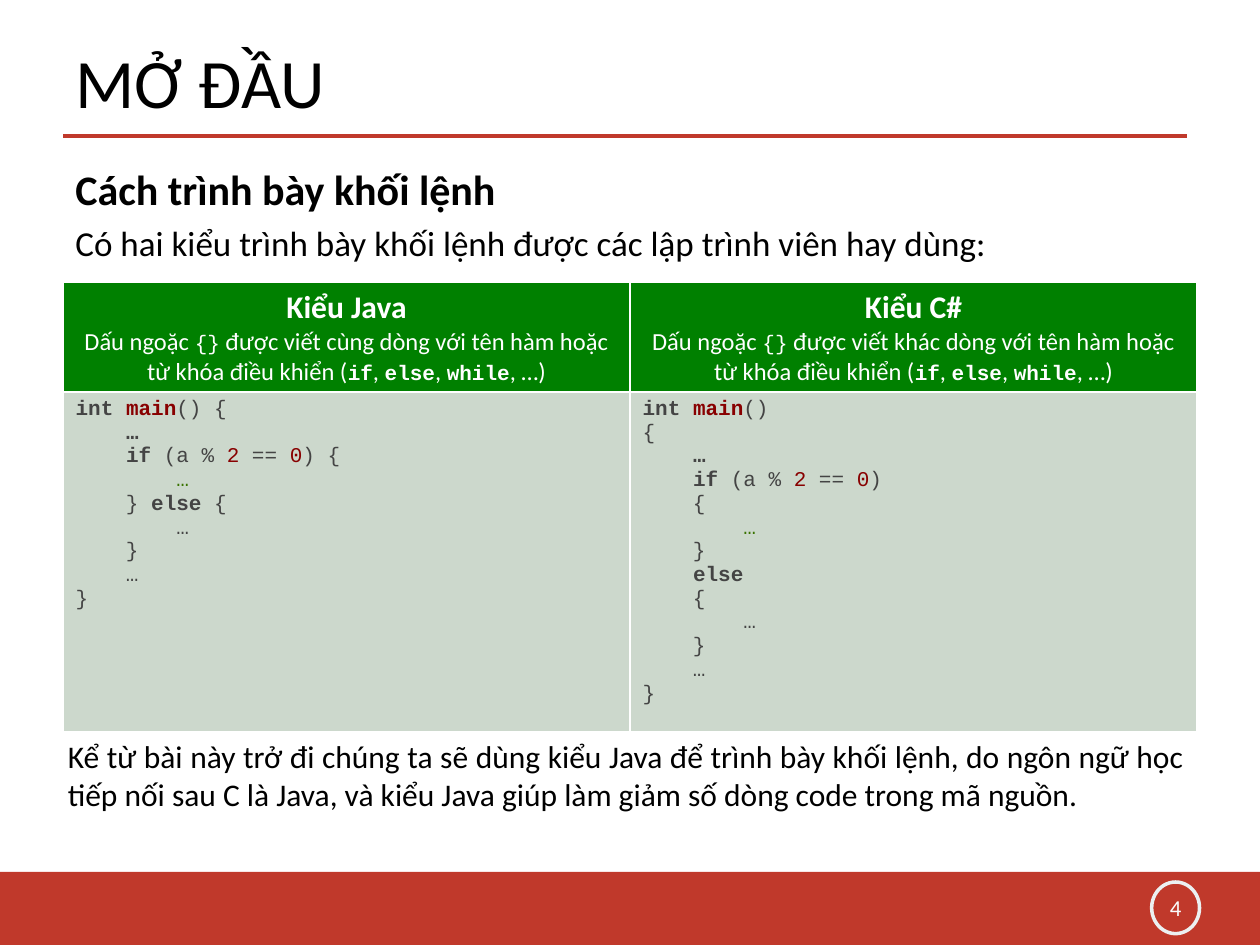
"""Builds a slide comparing two ways to lay out code blocks."""
from pptx import Presentation
from pptx import util as u
from pptx.dml.color import RGBColor
from pptx.enum import shapes, text
from pptx.oxml.ns import qn

COLORS = {"red": "C0392B", "ring": "ECF0F1", "number": "FAFCFC", "black": "000000",
          "white": "FFFFFF", "green": "008000", "sage": "CCD8CC",
          "code": "444444", "value": "880000", "comment": "397300"}
SANS, MONO = "Calibri", "Courier New"
STYLES = {
    "title": (SANS, 39.6, False, "black"),
    "heading": (SANS, 24, True, "black"),
    "lead": (SANS, 20, False, "black"),
    "closing": (SANS, 18, False, "black"),
    "number": (SANS, 13, False, "number"),
    "head": (SANS, 18, True, "white"),
    "sub": (SANS, 14, False, "white"),
    "brace": (MONO, 12, False, "white"),
    "word": (MONO, 12, True, "white"),
    "code": (MONO, 12, False, "code"),
    "key": (MONO, 12, True, "code"),
    "name": (MONO, 12, True, "value"),
    "digit": (MONO, 12, False, "value"),
    "comment": (MONO, 12, False, "comment"),
}
TITLE = [[("MỞ ĐẦU", "title")]]
INTRO = [[("Cách trình bày khối lệnh", "heading")],
         [("Có hai kiểu trình bày khối lệnh được các lập trình viên hay dùng:", "lead")]]
CLOSING = [[("Kể từ bài này trở đi chúng ta sẽ dùng kiểu Java để trình bày khối lệnh, "
             "do ngôn ngữ học tiếp nối sau C là Java, và kiểu Java giúp làm giảm số dòng "
             "code trong mã nguồn.", "closing")]]
NUMBER = [[("4", "number")]]
HEADS = [("Kiểu Java", "cùng"), ("Kiểu C#", "khác")]
MAIN = [("int ", "key"), ("main", "name")]
CONDITION = [("if", "key"), (" (a % ", "code"), ("2", "digit"),
             (" == ", "code"), ("0", "digit")]
DOTS, OPEN, CLOSE = [("…", "code")], [("{", "code")], [("}", "code")]
FIRST, BRANCH = [("…", "key")], [("…", "comment")]
TAIL = [(2, DOTS), (1, CLOSE), (1, DOTS), (0, CLOSE)]
JAVA = [(0, MAIN + [("() {", "code")]), (1, FIRST), (1, CONDITION + [(") {", "code")]),
        (2, BRANCH), (1, [("} ", "code"), ("else ", "key"), ("{", "code")])] + TAIL
CSHARP = [(0, MAIN + [("()", "code")]), (0, OPEN), (1, FIRST),
          (1, CONDITION + [(")", "code")]), (1, OPEN), (2, BRANCH), (1, CLOSE),
          (1, [("else", "key")]), (1, OPEN)] + TAIL

MARGIN, WIDTH, HEIGHT = 0.5, 10, 7.5
ROWS = (0.87, 2.54)
BAR = 0.58


def rgb(name):
    return RGBColor.from_string(COLORS[name])


def box(*lengths):
    return [u.Inches(n) for n in lengths]


def write(tf, paragraphs, align=text.PP_ALIGN.LEFT, before=0):
    for i, runs in enumerate(paragraphs):
        p = tf.paragraphs[0] if i == 0 else tf.add_paragraph()
        p.alignment = align
        if before:
            p.space_before = u.Pt(before * STYLES[runs[0][1]][1])
        for words, style in runs:
            r = p.add_run()
            r.text = words
            name, size, bold, color = STYLES[style]
            for key, value in {"name": name, "size": u.Pt(size), "bold": bold}.items():
                setattr(r.font, key, value)
            r.font.color.rgb = rgb(color)


def add_text(s, place, paragraphs, **options):
    tf = s.shapes.add_textbox(*box(*place)).text_frame
    tf.word_wrap = True
    write(tf, paragraphs, **options)
    return tf


def head(title, line):
    keywords = [("if", "word"), (", ", "sub"), ("else", "word"), (", ", "sub"),
                ("while", "word"), (", …)", "sub")]
    return [[(title, "head")],
            [("Dấu ngoặc ", "sub"), ("{}", "brace"),
             (f" được viết {line} dòng với tên hàm hoặc từ khóa điều khiển (", "sub")]
            + keywords]


def listing(lines):
    return [([(" " * 4 * level, "code")] if level else []) + runs for level, runs in lines]


def add_frame(s):
    line = s.shapes.add_connector(shapes.MSO_CONNECTOR.STRAIGHT,
                                  *box(MARGIN, 1.08, 9.42, 1.08))
    line.line.color.rgb, line.line.width = rgb("red"), u.Pt(2.25)
    spPr = line._element.spPr
    spPr.append(spPr.makeelement(qn("a:effectLst"), {}))
    bar = s.shapes.add_shape(shapes.MSO_SHAPE.RECTANGLE,
                             *box(0, HEIGHT - BAR, WIDTH, BAR))
    bar.fill.solid()
    bar.fill.fore_color.rgb = rgb("red")
    bar.line.fill.background()
    ring = s.shapes.add_shape(shapes.MSO_SHAPE.OVAL, *box(9.14, 7, 0.38, 0.41))
    ring.fill.background()
    ring.line.color.rgb, ring.line.width = rgb("ring"), u.Pt(2)
    for sp in (bar, ring):
        sp.shadow.inherit = False
    tf = add_text(s, (9.08, 7.04, 0.5, 0.32), NUMBER, align=text.PP_ALIGN.CENTER)
    tf.vertical_anchor = text.MSO_ANCHOR.MIDDLE


def add_comparison(s):
    place = box(MARGIN, 2.24, WIDTH - 2 * MARGIN, sum(ROWS))
    table = s.shapes.add_table(2, 2, *place).table
    rows = [([head(*h) for h in HEADS], "green", text.PP_ALIGN.CENTER),
            ([listing(c) for c in (JAVA, CSHARP)], "sage", text.PP_ALIGN.LEFT)]
    for i, (cells, color, align) in enumerate(rows):
        table.rows[i].height = u.Inches(ROWS[i])
        for j, paragraphs in enumerate(cells):
            cell = table.cell(i, j)
            cell.fill.solid()
            cell.fill.fore_color.rgb = rgb(color)
            write(cell.text_frame, paragraphs, align)


def main():
    prs = Presentation()
    prs.slide_width, prs.slide_height = box(WIDTH, HEIGHT)
    s = prs.slides.add_slide(prs.slide_layouts[5])
    title = s.shapes.title
    title.left, title.top, title.width, title.height = box(MARGIN, 0.3, 8, 0.69)
    tf = title.text_frame
    for key, value in {"auto_size": text.MSO_AUTO_SIZE.NONE, "word_wrap": True,
                       "vertical_anchor": text.MSO_ANCHOR.MIDDLE}.items():
        setattr(tf, key, value)
    write(tf, TITLE)
    add_frame(s)
    justify = text.PP_ALIGN.JUSTIFY
    add_text(s, (MARGIN, 1.25, 9, 0.99), INTRO, align=justify, before=0.2)
    add_comparison(s)
    add_text(s, (0.44, 5.8, 9.06, 0.71), CLOSING, align=justify)
    prs.save("out.pptx")


if __name__ == "__main__":
    main()
